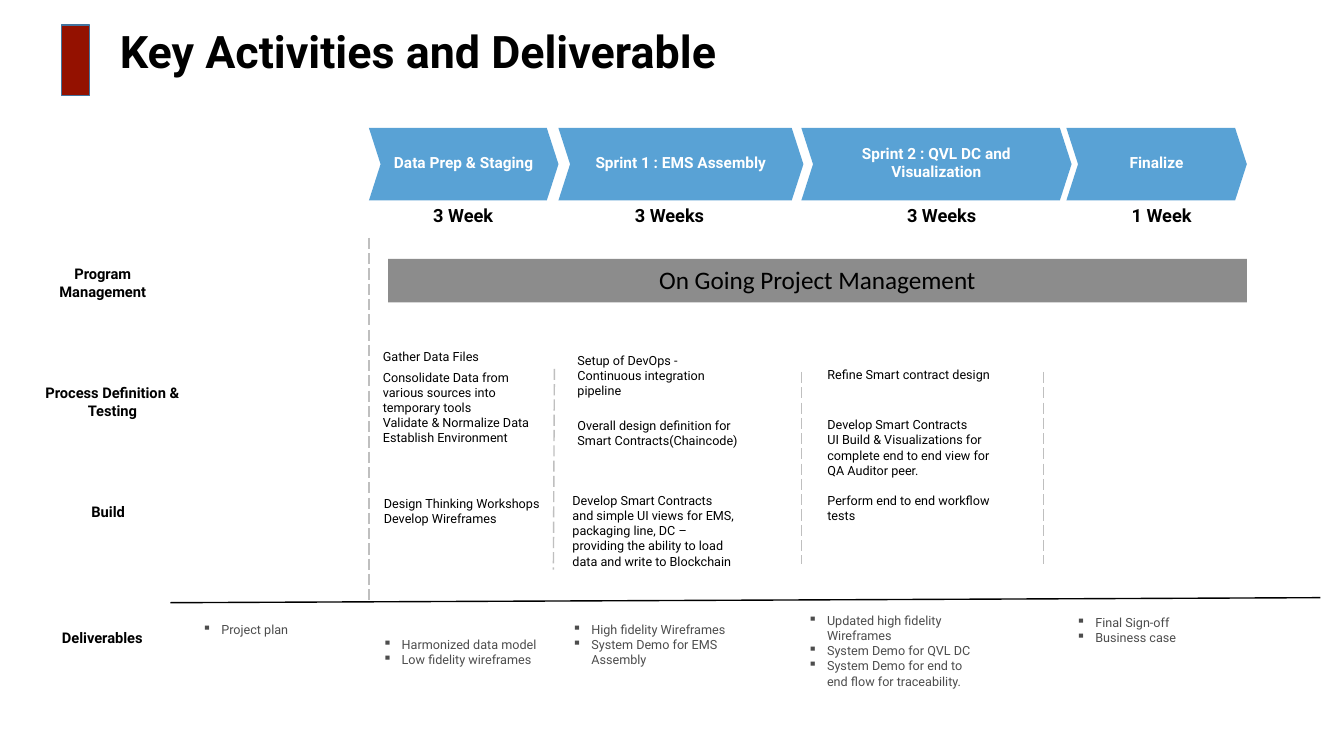
from collections import namedtuple

from lxml import etree
from pptx import Presentation
from pptx.dml.color import RGBColor
from pptx.enum.dml import MSO_LINE
from pptx.enum.shapes import MSO_CONNECTOR, MSO_SHAPE
from pptx.enum.text import MSO_ANCHOR, PP_ALIGN
from pptx.oxml.ns import qn
from pptx.util import Pt

Box = namedtuple("Box", "left top width height")

RECTANGLE, CHEVRON = MSO_SHAPE.RECTANGLE, MSO_SHAPE.CHEVRON
STRAIGHT, LONG_DASH = MSO_CONNECTOR.STRAIGHT, MSO_LINE.LONG_DASH
LEFT, CENTER = PP_ALIGN.LEFT, PP_ALIGN.CENTER
TOP, MIDDLE = MSO_ANCHOR.TOP, MSO_ANCHOR.MIDDLE

BLACK = RGBColor(0x00, 0x00, 0x00)
WHITE = RGBColor(0xFF, 0xFF, 0xFF)
RED = RGBColor(0x94, 0x11, 0x00)
STEEL = RGBColor(0x43, 0x73, 0x9E)
BLUE = RGBColor(0x00, 0x71, 0xC0)
BAR_GRAY = RGBColor(0x8C, 0x8C, 0x8C)
RULE_GRAY = RGBColor(0xBF, 0xBF, 0xBF)
TEXT_GRAY = RGBColor(0x4D, 0x4D, 0x4D)

TITLE = {"size": Pt(32), "name": "Roboto", "bold": True, "color": BLACK}
PHASE = {"size": Pt(11), "name": "Roboto", "bold": True, "color": WHITE}
WEEK = {"size": Pt(13), "name": "Roboto", "bold": True, "color": BLACK}
ROW = {"size": Pt(10.5), "name": "Roboto", "bold": True, "color": BLACK}
BAR = {"size": Pt(18), "name": "Calibri", "bold": False, "color": BLACK}
BODY = {"size": Pt(9), "name": "Roboto", "bold": False, "color": BLACK}
BULLET = {**BODY, "color": TEXT_GRAY}

PHASES = [
    ("Data Prep & Staging", 0, 135.4, "3 Week", 38.9),
    ("Sprint 1 : EMS Assembly", 135.4, 175, "3 Weeks", 182.9),
    ("Sprint 2 : QVL DC and Visualization", 308.9, 193, "3 Weeks", 377.3),
    ("Finalize", 498.2, 128.9, "1 Week", 537.8),
]
ROWS = [
    ("Program Management", 10.8, 0, 82),
    ("Process Definition & Testing", 0.7, 85, 116),
    (" Build", 2.9, 169.9, 103),
    ("Deliverables", 0, 259.9, 103),
]
DIVIDERS = [(0, 0, 0, 260.6), (132.5, 93.6, 131.8, 236.9),
            (308.9, 95.8, 308.9, 233.3), (481.7, 95.8, 481.7, 233.3)]
ACTIVITIES = [
    (0, 0, ["Gather Data Files",
            "Consolidate Data from various sources into temporary tools",
            "Validate & Normalize Data", "Establish Environment"]),
    (0.7, 105.1, ["Design Thinking Workshops", "Develop Wireframes"]),
    (139, 2.9, ["Setup of DevOps - Continuous integration pipeline"]),
    (139, 49.7, ["Overall design definition for Smart Contracts(Chaincode)"]),
    (135.4, 103, ["Develop Smart Contracts and simple UI views for EMS, packaging line, "
                  "DC – providing the ability to load data and write to Blockchain"]),
    (317.5, 13, ["Refine Smart contract design"]),
    (317.5, 49, ["Develop Smart Contracts",
                 "UI Build & Visualizations for complete end to end view for QA Auditor peer."]),
    (317.5, 103, ["Perform end to end workflow tests"]),
]
DELIVERABLES = [
    (0, 6.5, 140.4, ["Project plan"]),
    (128.9, 17.4, 131.8, ["Harmonized data model", "Low fidelity wireframes"]),
    (264.3, 6.5, 140.4, ["High fidelity Wireframes", "System Demo for EMS Assembly"]),
    (432.7, 0, 140.4, ["Updated high fidelity Wireframes", "System Demo for QVL DC",
                       "System Demo for end to end flow for traceability."]),
    (624.3, 1.4, 186.5, ["Final Sign-off", "Business case"]),
]


def write(shape, lines, style, align=LEFT, anchor=TOP, wrap=True):
    """Write the lines as paragraphs in one style and return them."""
    frame = shape.text_frame
    frame.word_wrap, frame.vertical_anchor = wrap, anchor
    paras = []
    for index, line in enumerate(lines):
        para = frame.add_paragraph() if index else frame.paragraphs[0]
        para.alignment = align
        span = para.add_run()
        span.text = line
        for key, value in style.items():
            if key == "color":
                span.font.color.rgb = value
            else:
                setattr(span.font, key, value)
        paras.append(para)
    return paras


def add_text(page, box, lines, style, **layout):
    """Add a text box and return its paragraphs."""
    return write(page.shapes.add_textbox(*map(Pt, box)), lines, style, **layout)


def add_block(page, kind, box, fill, line=None):
    """Add a filled preset shape, outlined only if a line colour is given."""
    shape = page.shapes.add_shape(kind, *map(Pt, box))
    shape.shadow.inherit = False
    shape.fill.solid()
    shape.fill.fore_color.rgb = fill
    if line is None:
        shape.line.fill.background()
    else:
        shape.line.color.rgb = line
        shape.line.width = Pt(1)
    return shape


def add_rule(page, ends, color, dash=None):
    """Add a one-point straight line between two points."""
    rule = page.shapes.add_connector(STRAIGHT, *map(Pt, ends))
    rule.line.color.rgb = color
    rule.line.width = Pt(1)
    if dash is not None:
        rule.line.dash_style = dash
    etree.SubElement(rule._element.spPr, qn("a:effectLst"))


def add_header(page, box):
    """Place the red marker and the title."""
    add_block(page, RECTANGLE, (box.left, box.top, 20.2, box.height), RED, STEEL)
    title_box = (box.left + 34.6, box.top, box.width - 34.6, 41.8)
    para, = add_text(page, title_box, ["Key Activities and Deliverable"], TITLE)
    para.line_spacing = 0.9


def add_phases(page, box):
    """Place the phase chevrons with their durations below."""
    for name, left, width, weeks, weeks_left in PHASES:
        shape = add_block(page, CHEVRON, (box.left + left, box.top, width, box.height), BLUE)
        shape.adjustments[0] = 0.161
        color = shape.fill._xPr.find(qn("a:solidFill"))[0]
        etree.SubElement(color, qn("a:alpha"), val="65000")
        shape.text_frame.margin_bottom = Pt(6.5)
        para, = write(shape, [name], PHASE, align=CENTER, anchor=MIDDLE)
        para.space_before, para.space_after = Pt(3), Pt(6)
        weeks_box = (box.left + weeks_left, box.top + 51.2, 14.4 + 7.7 * len(weeks), 24.5)
        add_text(page, weeks_box, [weeks], WEEK, wrap=False)


def add_row_labels(page, box):
    """Place the row names down the left side."""
    for name, left, top, width in ROWS:
        label_box = (box.left + left, box.top + top, width, 21)
        add_text(page, label_box, [name], ROW, align=CENTER)


def add_dividers(page, box):
    """Place the dashed phase dividers and the line above the deliverables."""
    for x1, y1, x2, y2 in DIVIDERS:
        ends = (box.left + x1, box.top + y1, box.left + x2, box.top + y2)
        add_rule(page, ends, RULE_GRAY, LONG_DASH)
    bottom = box.top + box.height
    add_rule(page, (box.left - 141.8, bottom, box.left + box.width, bottom - 3.6), BLACK)


def add_management_bar(page, box):
    """Place the bar that spans all phases."""
    write(add_block(page, RECTANGLE, box, BAR_GRAY),
          ["On Going Project Management"], BAR, align=CENTER)


def add_activities(page, box):
    """Place the activity notes of each phase."""
    for left, top, lines in ACTIVITIES:
        note_box = (box.left + left, box.top + top, 130.3, 31)
        paras = add_text(page, note_box, lines, BODY)
        if lines[0] == "Gather Data Files":
            paras[1].space_before = Pt(4.2)


def add_deliverables(page, box):
    """Place the bulleted deliverables of each phase."""
    for left, top, width, lines in DELIVERABLES:
        list_box = (box.left + left, box.top + top, width, box.height)
        for para in add_text(page, list_box, lines, BULLET):
            properties = para._p.get_or_add_pPr()
            properties.set("marL", str(Pt(13.5)))
            properties.set("indent", str(-Pt(13.5)))
            etree.SubElement(properties, qn("a:buChar"), char="▪")


def main():
    """Build the slide and save the deck."""
    deck = Presentation()
    deck.slide_width, deck.slide_height = Pt(960), Pt(540)
    page = deck.slides.add_slide(deck.slide_layouts[6])
    add_header(page, Box(43.9, 18, 862.6, 50.4))
    add_phases(page, Box(263.5, 91.4, 627.1, 51.8))
    add_row_labels(page, Box(21.6, 185.8, 120, 281))
    add_dividers(page, Box(263.5, 169.9, 679.7, 260.6))
    add_management_bar(page, Box(277.2, 185, 613.4, 31))
    add_activities(page, Box(266.4, 245.5, 450, 140))
    add_deliverables(page, Box(137.5, 434.2, 811, 38.9))
    deck.save("out.pptx")


if __name__ == "__main__":
    main()
